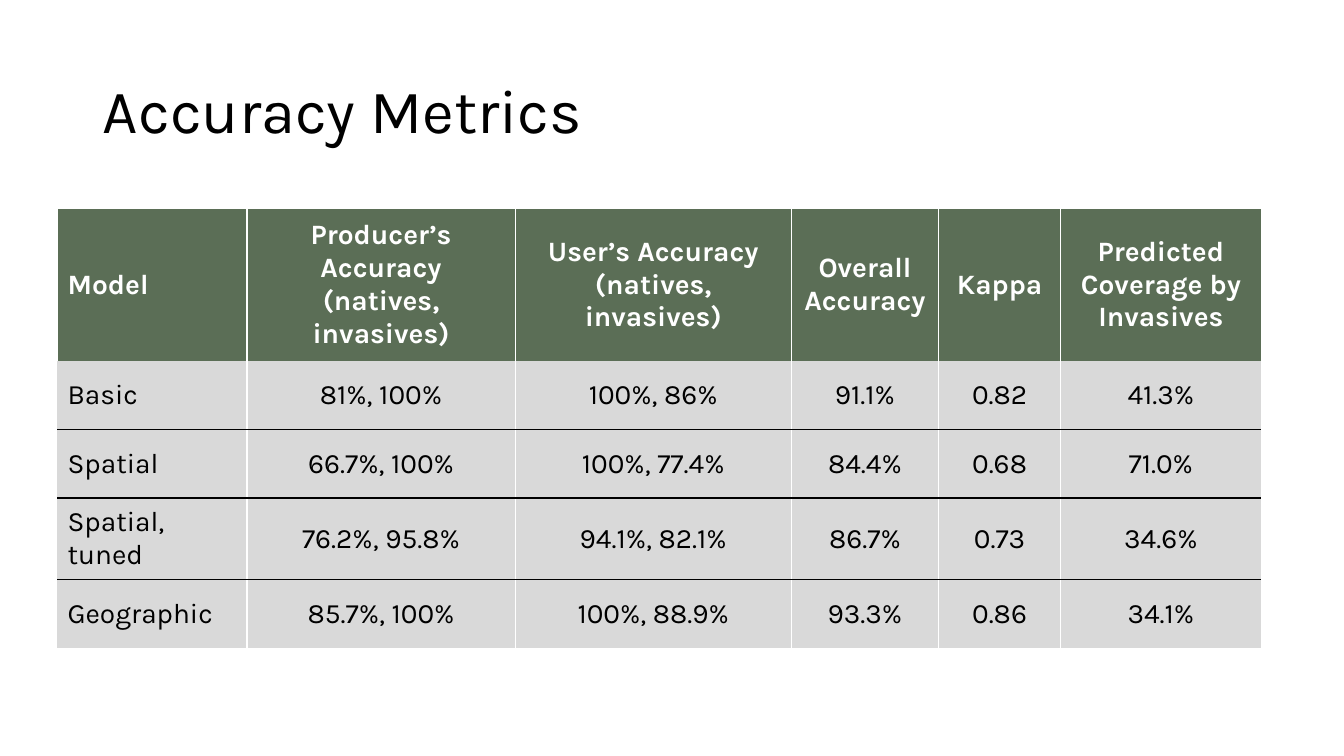
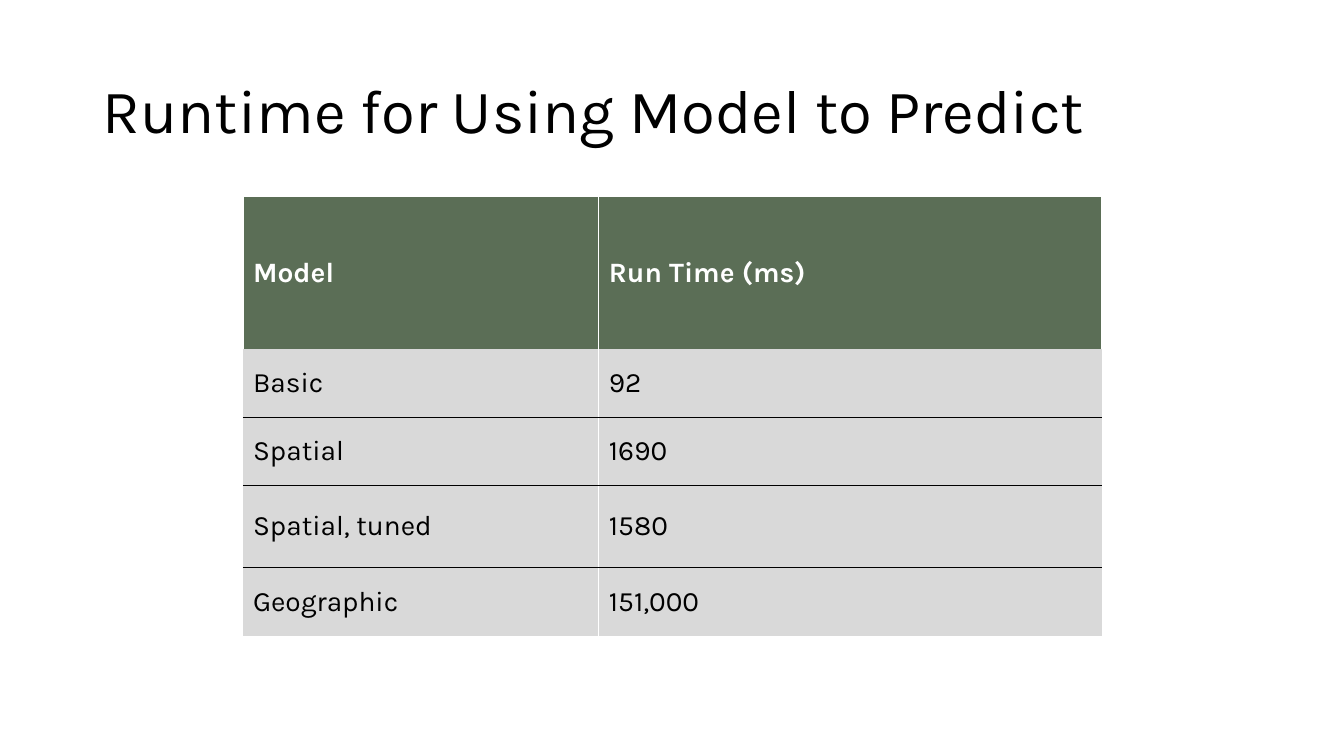
from lxml.etree import SubElement as Sub
from pptx import Presentation
from pptx.dml.color import RGBColor as RGB
from pptx.enum.text import MSO_ANCHOR as Anchor, MSO_AUTO_SIZE as Fit, PP_ALIGN as Align
from pptx.oxml.ns import qn
from pptx.util import Inches, Pt

WHITE = RGB(0xFF, 0xFF, 0xFF)
BLACK = RGB(0x00, 0x00, 0x00)
GREEN = RGB(0x5B, 0x6E, 0x56)
GREY = RGB(0xD9, 0xD9, 0xD9)

FACE = "Karla"
TITLE = {"name": FACE, "size": Pt(44), "bold": False}
HEAD = {"name": FACE, "size": Pt(20), "bold": True}
BODY = {**HEAD, "bold": False}
ROWS = (1.51, 0.68, 0.68, 0.81, 0.68)


def style(par, form, color, align):
    par.alignment = align
    for key, value in form.items():
        setattr(par.font, key, value)
    par.font.color.rgb = color


def edge(cell, side, color):
    """Draw one cell border (L, R, T or B); no color hides it."""
    line = Sub(cell._tc.get_or_add_tcPr(), qn(f"a:ln{side}"), w=str(Pt(1)))
    if color is None:
        Sub(line, qn("a:noFill"))
    else:
        fill = Sub(line, qn("a:solidFill"))
        Sub(fill, qn("a:srgbClr"), val=str(color))


class Deck:
    def __init__(self):
        self.prs = Presentation()
        self.prs.slide_width = Inches(13.33)
        self.prs.slide_height = Inches(7.5)
        self.slide = None

    def add(self, title):
        self.slide = self.prs.slides.add_slide(self.prs.slide_layouts[5])
        box = self.slide.shapes.title
        box.left, box.top = Inches(0.92), Inches(0.4)
        box.width, box.height = Inches(11.5), Inches(1.45)
        frame = box.text_frame
        frame.text = title
        frame.word_wrap = True
        frame.auto_size = Fit.NONE
        frame.vertical_anchor = Anchor.MIDDLE
        par = frame.paragraphs[0]
        par.line_spacing = 0.9
        style(par, TITLE, BLACK, Align.LEFT)

    def table(self, left, top, widths, data, align):
        """Fill a table; align applies to every column but the first."""
        table = self.slide.shapes.add_table(
            len(data), len(widths), Inches(left), Inches(top),
            Inches(sum(widths)), Inches(sum(ROWS))).table
        table.horz_banding = False
        for col, width in zip(table.columns, widths):
            col.width = Inches(width)
        for row, height in zip(table.rows, ROWS):
            row.height = Inches(height)
        for r, line in enumerate(data):
            for c, text in enumerate(line):
                cell = table.cell(r, c)
                cell.text = text
                cell.vertical_anchor = Anchor.MIDDLE
                self.paint(cell, r, c, len(data) - 1, len(widths) - 1)
                for par in cell.text_frame.paragraphs:
                    style(par, BODY if r else HEAD, BLACK if r else WHITE,
                          align if c else Align.LEFT)

    def paint(self, cell, r, c, last_row, last_col):
        """White rules between columns, black rules between body rows."""
        head = r == 0
        edge(cell, "L", WHITE if head or c > 0 else None)
        edge(cell, "R", WHITE if head or c < last_col else None)
        edge(cell, "T", WHITE if head else BLACK if r > 1 else None)
        edge(cell, "B", BLACK if 0 < r < last_row else None)
        cell.fill.solid()
        cell.fill.fore_color.rgb = GREEN if head else GREY


def main():
    deck = Deck()

    deck.add("Accuracy Metrics")
    deck.table(0.57, 2.07, (1.88, 2.66, 2.74, 1.46, 1.21, 1.99), (
        ("Model", "Producer’s Accuracy\n(natives, invasives)",
         "User’s Accuracy\n(natives, invasives)", "Overall Accuracy",
         "Kappa", "Predicted Coverage by Invasives"),
        ("Basic", "81%, 100%", "100%, 86%", "91.1%", "0.82", "41.3%"),
        ("Spatial", "66.7%, 100%", "100%, 77.4%", "84.4%", "0.68", "71.0%"),
        ("Spatial, tuned", "76.2%, 95.8%", "94.1%, 82.1%", "86.7%", "0.73", "34.6%"),
        ("Geographic", "85.7%, 100%", "100%, 88.9%", "93.3%", "0.86", "34.1%"),
    ), Align.CENTER)

    deck.add("Runtime for Using Model to Predict")
    deck.table(2.41, 1.95, (3.53, 4.99), (
        ("Model", "Run Time (ms)"),
        ("Basic", "92"),
        ("Spatial", "1690"),
        ("Spatial, tuned", "1580"),
        ("Geographic", "151,000"),
    ), Align.LEFT)

    deck.prs.save("out.pptx")


if __name__ == "__main__":
    main()
